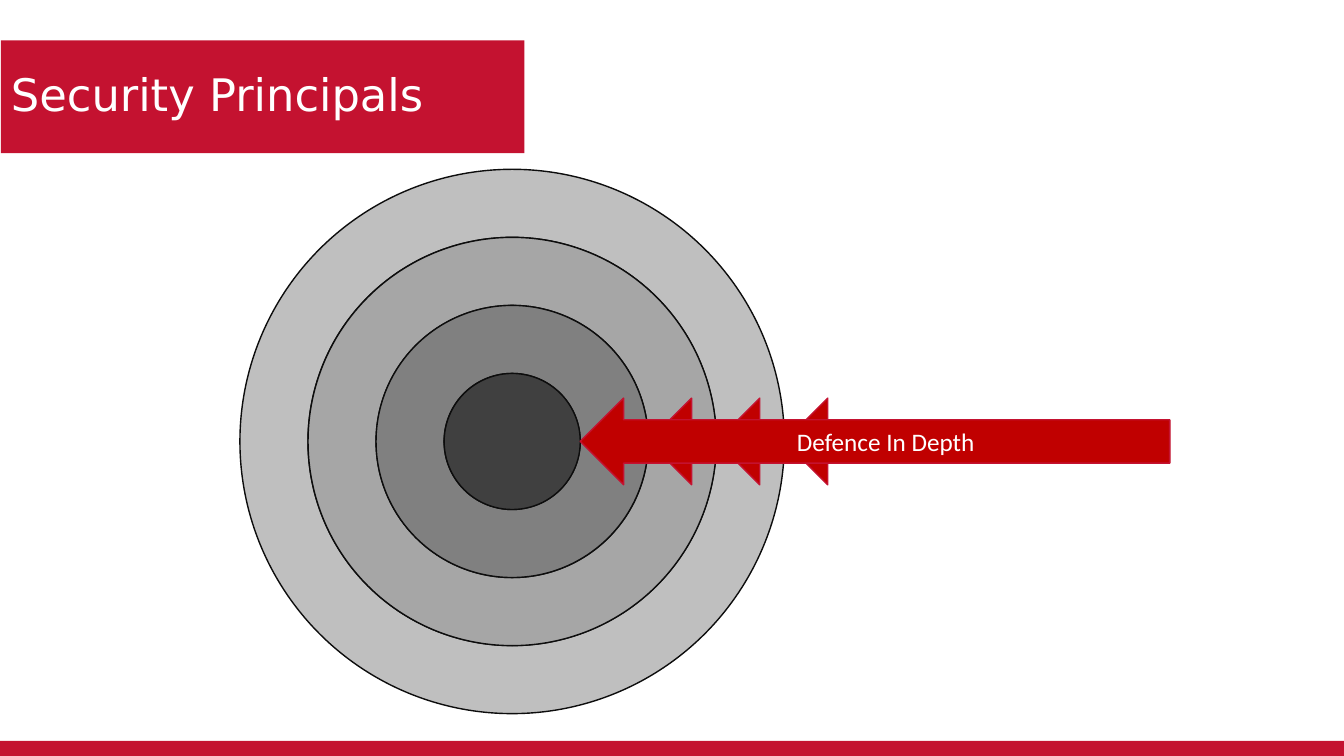
from pptx import Presentation
from pptx.dml.color import RGBColor
from pptx.enum.shapes import MSO_SHAPE
from pptx.enum.text import MSO_ANCHOR, PP_ALIGN
from pptx.util import Inches, Pt

CRIMSON = RGBColor(0xC4, 0x12, 0x30)
ARROW_RED = RGBColor(0xC0, 0x00, 0x00)
OUTLINE = RGBColor(0x0D, 0x0D, 0x0D)
WHITE = RGBColor(0xFF, 0xFF, 0xFF)
# From the outermost layer to the core
LAYER_GREYS = [RGBColor(level, level, level) for level in (0xBF, 0xA6, 0x80, 0x40)]

SLIDE_WIDTH, SLIDE_HEIGHT = 13.33, 7.5


def add_filled(slide, kind, box, fill, line=None):
    """Add a flat preset shape in box (left, top, width, height in inches)."""
    shape = slide.shapes.add_shape(kind, *(Inches(length) for length in box))
    shape.shadow.inherit = False
    shape.fill.solid()
    shape.fill.fore_color.rgb = fill
    if line is None:
        shape.line.fill.background()
    else:
        shape.line.color.rgb = line
        shape.line.width = Pt(1)
    return shape


def write_label(shape, text, font_name, size, align):
    frame = shape.text_frame
    frame.word_wrap = True
    frame.vertical_anchor = MSO_ANCHOR.MIDDLE
    paragraph = frame.paragraphs[0]
    paragraph.alignment = align
    run = paragraph.add_run()
    run.text = text
    run.font.name = font_name
    run.font.size = Pt(size)
    run.font.color.rgb = WHITE
    return paragraph


def add_title(slide, box):
    banner = add_filled(slide, MSO_SHAPE.RECTANGLE, box, CRIMSON)
    heading = write_label(banner, "Security Principals", "DejaVu Sans", 32, PP_ALIGN.LEFT)
    heading.line_spacing = 0.9


def add_defence_layers(slide, box):
    """Draw concentric rings around a core; return the left tips for the arrows."""
    left, top, size, _ = box
    center_x, center_y = left + size / 2, top + size / 2
    core_size = size / len(LAYER_GREYS)
    right_edges = []
    for index, grey in enumerate(LAYER_GREYS):
        diameter = size - index * core_size
        radius = diameter / 2
        is_core = index == len(LAYER_GREYS) - 1
        kind = MSO_SHAPE.FLOWCHART_CONNECTOR if is_core else MSO_SHAPE.DONUT
        layer = add_filled(slide, kind,
                           (center_x - radius, center_y - radius, diameter, diameter),
                           grey, OUTLINE)
        if not is_core:
            layer.adjustments[0] = core_size / 2 / diameter
        right_edges.append(center_x + radius)
    return right_edges


def add_attack_arrows(slide, box, tips):
    """Draw one arrow per layer, from the right side of box to each tip."""
    left, top, width, height = box
    right = left + width
    for tip in tips:
        arrow = add_filled(slide, MSO_SHAPE.LEFT_ARROW,
                           (tip, top, right - tip, height), ARROW_RED, CRIMSON)
    write_label(arrow, "Defence In Depth", "Calibri", 18, PP_ALIGN.CENTER)


def main():
    presentation = Presentation()
    presentation.slide_width = Inches(SLIDE_WIDTH)
    presentation.slide_height = Inches(SLIDE_HEIGHT)
    slide = presentation.slides.add_slide(presentation.slide_layouts[6])

    add_filled(slide, MSO_SHAPE.RECTANGLE,
               (0, SLIDE_HEIGHT - 0.15, SLIDE_WIDTH, 0.15), CRIMSON)
    add_title(slide, (0.01, 0.4, 5.19, 1.12))
    layer_edges = add_defence_layers(slide, (2.38, 1.68, 5.4, 5.4))
    add_attack_arrows(slide, (5.75, 3.95, 5.85, 0.86), layer_edges)

    presentation.save("out.pptx")


if __name__ == "__main__":
    main()
